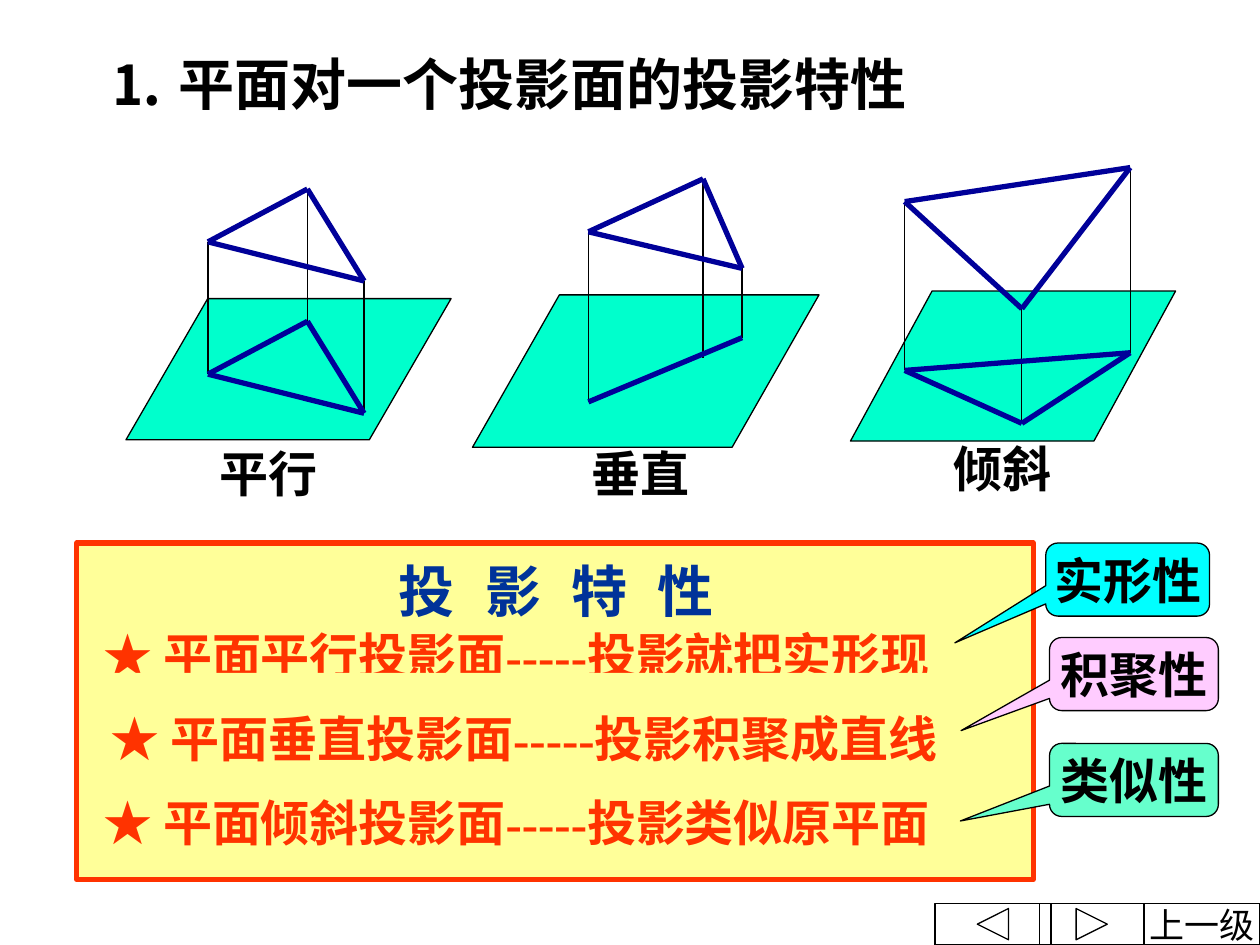
from pptx import Presentation
from pptx.dml.color import RGBColor as Rgb
from pptx.enum.shapes import MSO_CONNECTOR as Link, MSO_SHAPE as Kind
from pptx.enum.text import MSO_ANCHOR as Anchor, MSO_AUTO_SIZE as Auto, PP_ALIGN as Align
from pptx.oxml.ns import qn
from pptx.util import Cm, Pt
from lxml.etree import SubElement as Sub

THEME = {
    "font": "Times New Roman", "title": 32, "body": 28, "small": 20,
    "thin": 0.75, "thick": 3,
    "ink": "000000", "edge": "000099", "plane": "00FFCC",
    "panel": "FFFF99", "red": "FF3300", "head": "003399",
}
RING = [(0, 1), (1, 2), (2, 0)]
VIEWS = [
    {"plane": (1, 2.37, 2.58, 1.12), "slant": 0.579,
     "top": [(1.65, 1.92), (2.44, 1.5), (2.89, 2.23)],
     "foot": [2.97, 2.55, 3.28], "sides": RING,
     "name": "平行", "box": (1.47, 3.47, 1.32, 0.57)},
    {"plane": (3.75, 2.34, 2.75, 1.21), "slant": 0.57,
     "top": [(4.67, 1.84), (5.58, 1.42), (5.89, 2.13)],
     "foot": [3.19, 2.84, 2.68], "sides": [(0, 2)],
     "name": "垂直", "box": (4.48, 3.47, 1.21, 0.57)},
    {"plane": (6.75, 2.31, 2.58, 1.19), "slant": 0.544,
     "top": [(7.18, 1.6), (8.11, 2.45), (8.97, 1.33)],
     "foot": [2.94, 3.36, 2.8], "sides": RING,
     "name": "倾斜", "box": (7.35, 3.43, 1.21, 0.57)},
]
TITLE = ("⒈ 平面对一个投影面的投影特性", (0.77, 0.34, 6.53, 0.64))
PANEL = (0.61, 4.31, 7.59, 2.67)
HEAD = ("投 影 特 性", (2.84, 4.36, 3.15, 0.64))
RULES = [
    ("★ 平面平行投影面-----投影就把实形现", (0.72, 4.91, 7.1, 0.57)),
    ("★ 平面垂直投影面-----投影积聚成直线　", (0.78, 5.34, 7.25, 1.04)),
    ("★ 平面倾斜投影面-----投影类似原平面", (0.72, 6.24, 7.1, 0.57)),
]
NOTES = [
    ("实形性", (8.3, 4.31, 1.3, 0.58), (-1.055, 0.866), "00FFFF"),
    ("类似性", (8.33, 5.9, 1.34, 0.58), (-1.028, 0.562), "66FFCC"),
    ("积聚性", (8.33, 5.06, 1.34, 0.58), (-1.024, 0.774), "FFCCFF"),
]
KEYS = [
    (Kind.ACTION_BUTTON_CUSTOM, 9.08, 0.92, "上一级"),
    (Kind.ACTION_BUTTON_BACK_OR_PREVIOUS, 7.42, 0.92, ""),
    (Kind.ACTION_BUTTON_FORWARD_OR_NEXT, 8.25, 0.83, ""),
]


def scale(nums):
    return [Cm(n * 2.54) for n in nums]


def shade(name):
    return Rgb.from_string(THEME.get(name, name))


def shape(pool, kind, box, fill=None, line=None, width="thin"):
    item = pool.add_shape(kind, *scale(box))
    item.shadow.inherit = False
    if fill:
        item.fill.solid()
        item.fill.fore_color.rgb = shade(fill)
    else:
        item.fill.background()
    if line:
        item.line.color.rgb = shade(line)
        item.line.width = Pt(THEME[width])
    else:
        item.line.fill.background()
    return item


def stroke(pool, start, end, tint, width):
    item = pool.add_connector(Link.STRAIGHT, *scale((*start, *end)))
    item.line.color.rgb = shade(tint)
    item.line.width = Pt(THEME[width])
    Sub(item._element.spPr, qn("a:effectLst"))


def write(item, text, size="body", tint="ink", bold=True, wrap=False, grow=True, align=Align.CENTER):
    frame = item.text_frame
    frame.text = text
    frame.word_wrap = wrap
    frame.vertical_anchor = Anchor.MIDDLE
    frame.auto_size = Auto.SHAPE_TO_FIT_TEXT if grow else Auto.NONE
    para = frame.paragraphs[0]
    para.alignment = align
    font = para.runs[0].font
    font.name, font.size, font.bold = THEME["font"], Pt(THEME[size]), bold
    font.color.rgb = shade(tint)
    return para.runs[0]


def draw(pool, view):
    plane = shape(pool, Kind.PARALLELOGRAM, view["plane"], "plane", "ink")
    plane.adjustments[0] = view["slant"]
    top = view["top"]
    foot = [(x, y) for (x, _), y in zip(top, view["foot"])]
    for ends in zip(top, foot):
        stroke(pool, *ends, "ink", "thin")
    for dots, sides in ((top, RING), (foot, view["sides"])):
        for a, b in sides:
            stroke(pool, dots[a], dots[b], "edge", "thick")
    write(pool.add_textbox(*scale(view["box"])), view["name"], wrap=True)


def main():
    """Build the slide on how a plane projects onto one projection plane."""
    deck = Presentation()
    deck.slide_width, deck.slide_height = scale((10, 7.5))
    pool = deck.slides.add_slide(deck.slide_layouts[6]).shapes
    for view in VIEWS:
        draw(pool.add_group_shape().shapes, view)

    panel = pool.add_group_shape().shapes
    shape(panel, Kind.RECTANGLE, PANEL, "panel", "red", "thick")
    text, box = HEAD
    run = write(shape(panel, Kind.RECTANGLE, box, "panel"), text, "title", "head", wrap=True)
    run._r.get_or_add_rPr().set("spc", "500")
    for text, box in RULES:
        write(shape(panel, Kind.RECTANGLE, box, "panel"), text, tint="red", wrap=True, align=Align.LEFT)

    for text, box, tip, fill in NOTES:
        note = shape(pool, Kind.ROUNDED_RECTANGULAR_CALLOUT, box, fill, "ink")
        note.adjustments[0], note.adjustments[1] = tip
        write(note, text, grow=False)
    text, box = TITLE
    write(pool.add_textbox(*scale(box)), text, "title", align=Align.LEFT)
    for kind, left, width, text in KEYS:
        key = shape(pool, kind, (left, 7.17, width, 0.33), line="ink")
        if text:
            write(key, text, "small", bold=False, grow=False)
    deck.save("out.pptx")


if __name__ == "__main__":
    main()
